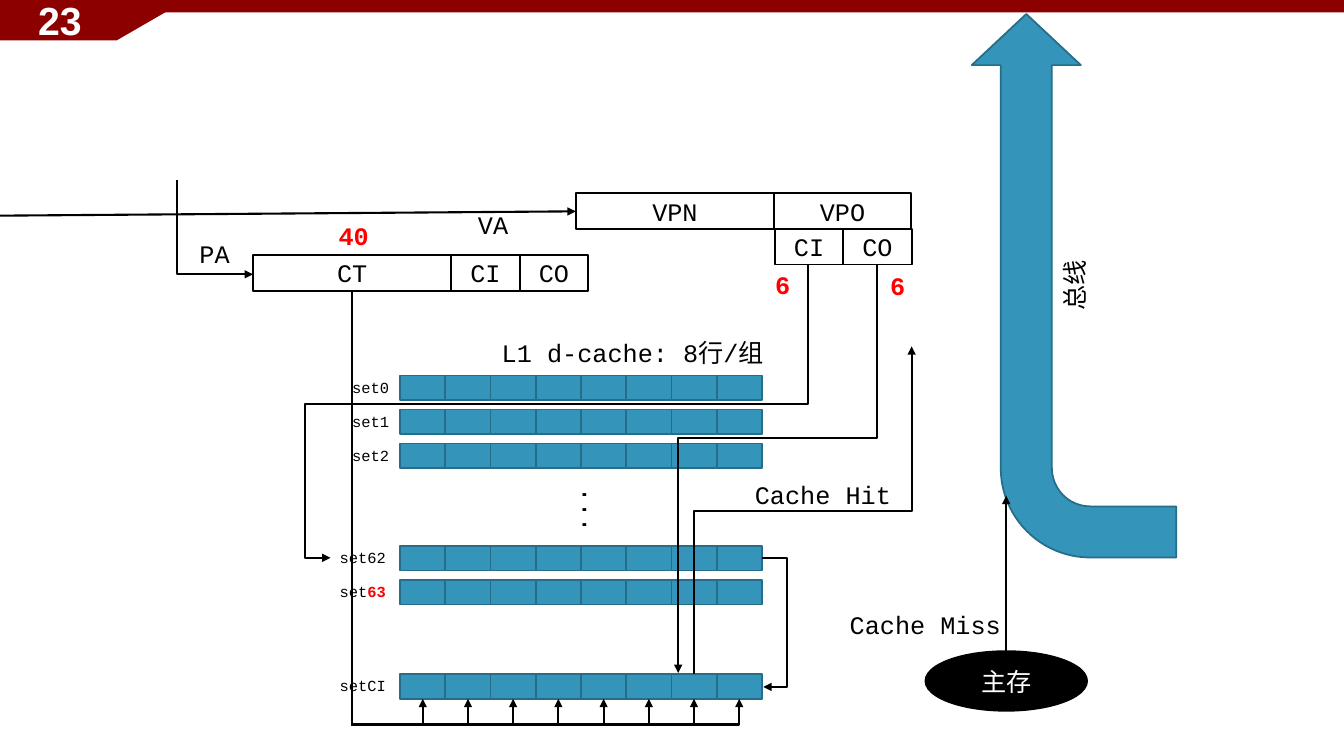
from lxml import etree
from pptx import Presentation
from pptx import util as u
from pptx.dml.color import RGBColor
from pptx.enum import shapes as es, text as et
from pptx.oxml import ns

BLACK, WHITE, RED, MAROON = "000000", "FFFFFF", "FF0000", "8C0000"
BLUE, BLUE_EDGE = "3494BA", "266D8A"
SHAPE = es.MSO_SHAPE
FIELD_H, TAG_W, OFFSET_W = 25.5, 141.6, 48.9
WAYS, WAY_W, SET_H = 8, 32.3, 17.5


def hex_color(value):
    return RGBColor.from_string(value)


def write(frame, runs, align, anchor, size=18, font="Courier New"):
    for name, value in {"word_wrap": False, "vertical_anchor": anchor}.items():
        setattr(frame, name, value)
    paragraph = frame.paragraphs[0]
    paragraph.alignment = align
    for words, color, bold in runs:
        run = paragraph.add_run()
        run.text = words
        for name, value in {"name": font, "size": u.Pt(size), "bold": bold}.items():
            setattr(run.font, name, value)
        run.font.color.rgb = hex_color(color)


def label(slide, box, words, color=BLACK, bold=False, size=18, runs=None,
          align=et.PP_ALIGN.LEFT, anchor=et.MSO_ANCHOR.TOP, font="Courier New"):
    caption = slide.shapes.add_textbox(*map(u.Pt, box))
    write(caption.text_frame, runs or [(words, color, bold)], align, anchor, size, font)
    return caption


def paint(shape, fill, edge=None):
    shape.shadow.inherit = False
    shape.fill.solid()
    shape.fill.fore_color.rgb = hex_color(fill)
    if edge:
        shape.line.color.rgb = hex_color(edge)
        shape.line.width = u.Pt(1.25)
    else:
        shape.line.fill.background()


def block(slide, box, fill, edge=None, words="", color=BLACK, preset=SHAPE.RECTANGLE):
    shape = slide.shapes.add_shape(preset, *map(u.Pt, box))
    paint(shape, fill, edge)
    if words:
        write(shape.text_frame, [(words, color, False)],
              et.PP_ALIGN.CENTER, et.MSO_ANCHOR.MIDDLE)
    return shape


def style_arrow(wire):
    wire.line.color.rgb = hex_color(BLACK)
    wire.line.width = u.Pt(1.5)
    etree.SubElement(wire.line._get_or_add_ln(), ns.qn("a:tailEnd"), type="triangle")
    etree.SubElement(wire._element.spPr, ns.qn("a:effectLst"))


def straight(slide, start, end):
    wire = slide.shapes.add_connector(es.MSO_CONNECTOR.STRAIGHT, *map(u.Pt, start + end))
    style_arrow(wire)


def elbow(slide, *route):
    start, end = route[0], route[-1]
    delta = [end[0] - start[0], end[1] - start[1]]
    main = 1 if start[0] == route[1][0] else 0
    width, height = abs(delta[main]), abs(delta[1 - main])
    left = (start[0] + end[0] - width) / 2
    top = (start[1] + end[1] - height) / 2
    wire = slide.shapes.add_connector(
        es.MSO_CONNECTOR.ELBOW, *map(u.Pt, (left, top, left + width, top + height)))
    if main:
        frame = wire._element.spPr.find(ns.qn("a:xfrm"))
        rightward, upward = delta[0] > 0, delta[1] < 0
        turn = 270 if rightward and not upward else 90
        for name, value in {"rot": turn * 60000, "flipH": int(rightward),
                            "flipV": int(upward)}.items():
            frame.set(name, str(value))
    geometry = wire._element.spPr.find(ns.qn("a:prstGeom"))
    geometry.set("prst", f"bentConnector{len(route) - 1}")
    guides = geometry.find(ns.qn("a:avLst"))
    for index, corner in enumerate(route[1:-2]):
        axis = (main + index) % 2
        share = (corner[axis] - start[axis]) / delta[axis]
        etree.SubElement(guides, ns.qn("a:gd"), name=f"adj{index + 1}",
                         fmla=f"val {round(share * 100000)}")
    style_arrow(wire)


def header(slide, left, top, width):
    tab = slide.shapes.build_freeform(u.Pt(left), u.Pt(top))
    corners = [(0, 28.8), (84.2, 28.8), (134, 0)]
    tab.add_line_segments([(u.Pt(left + x), u.Pt(top + y)) for x, y in corners])
    paint(tab.convert_to_shape(), MAROON)
    block(slide, (left, top, width, 8.9), MAROON)
    label(slide, (left - 1.5, top, 67.7, 28.8), "23", WHITE, True, 28,
          align=et.PP_ALIGN.RIGHT, anchor=et.MSO_ANCHOR.MIDDLE, font="Arial")


def fields(slide, left, top, parts):
    for words, width in parts:
        block(slide, (left, top, width, FIELD_H), WHITE, BLACK, words)
        left += width


def physical_address(slide, left, top):
    fields(slide, left, top, [("CT", TAG_W), ("CI", OFFSET_W), ("CO", OFFSET_W)])
    middle = top + FIELD_H / 2 + 1
    elbow(slide, (left - 54, top - 53.3), (left - 54, middle), (left, middle))
    label(slide, (left - 45.3, top - 15.2, 45.4, 29), "PA")
    label(slide, (left + 54, top - 28.1, 39.6, 29.5), "40", RED, True)


def virtual_address(slide, left, top):
    page = left + TAG_W
    fields(slide, left, top, [("VPN", TAG_W), ("VPO", 2 * OFFSET_W)])
    fields(slide, page + 0.5, top + FIELD_H, [("CI", OFFSET_W), ("CO", OFFSET_W)])
    straight(slide, (-6.5, top + 16.1), (left, top + 13))
    label(slide, (left - 77, top + 8.2, 45.4, 29), "VA")
    label(slide, (page - 6.3, top + 50.8, 39.6, 29.5), "6", RED, True)
    label(slide, (page + 75.8, top + 51.5, 39.6, 29.5), "6", RED, True)


def cache_set(slide, left, top, runs):
    for way in range(WAYS):
        block(slide, (left + way * WAY_W, top, WAY_W, SET_H), BLUE, BLUE_EDGE)
    width = 41 if len("".join(run[0] for run in runs)) == 4 else 50
    label(slide, (left - width - 0.3, top - 2, width, 20.6), "", size=11, runs=runs)


def cache(slide, left, top):
    step = 24.3
    number = [("set", BLACK, False), ("63", RED, True)]
    sets = [("set0", 0), ("set1", step), ("set2", 2 * step),
            ("set62", 121.8), (number, 121.8 + step), ("setCI", 213.5)]
    for name, drop in sets:
        runs = name if name is number else [(name, BLACK, False)]
        cache_set(slide, left, top + drop, runs)
    dots = label(slide, (left + 115.9, top + 73, 36, 49), "...")
    dots.text_frame._txBody.bodyPr.set("vert", "eaVert")
    label(slide, (left + 65.5, top - 30.8, 232.6, 29), "L1 d-cache: 8行/组")


def lookup_arrows(slide, left, top):
    right = left + WAYS * WAY_W
    chosen = top + 213.5
    elbow(slide, (577.4, 188.9), (577.4, 288.5), (217.7, 288.5), (217.7, 398.5),
          (left - 49.7, 398.5))
    elbow(slide, (right, 398.8), (right + 18, 398.8), (right + 18, 490.7),
          (right + 1, 490.7))
    for way in range(WAYS):
        centre = left + (way + 0.5) * WAY_W
        elbow(slide, (251.4, 207.7), (251.4, 517.6), (centre, 517.6),
              (centre, chosen + SET_H))
    elbow(slide, (626.4, 188.9), (626.4, 312.6), (484.4, 312.6), (484.4, chosen - 1))
    hit = left + 6.5 * WAY_W
    elbow(slide, (hit, chosen), (hit, 365), (651.2, 365), (651.2, 247.5))
    label(slide, (532.1, 339.1, 115.2, 29), "Cache Hit")


def memory_and_bus(slide, left, top):
    block(slide, (left, top, 115.5, 42.6), BLACK, BLACK, "主存", WHITE, SHAPE.OVAL)
    bus = block(slide, (left - 88, top - 334, 388.2, 146), BLUE, BLUE_EDGE, "总线",
                preset=SHAPE.BENT_ARROW)
    bus.rotation = 270
    for index, share in enumerate((0.25, 0.267, 0.25, 0.438)):
        bus.adjustments[index] = share
    straight(slide, (left + 57.7, top), (left + 57.7, top - 111))
    label(slide, (left - 61.2, top - 33.1, 147.6, 29), "Cache Miss")


def main():
    deck = Presentation()
    deck.slide_width, deck.slide_height = u.Pt(960), u.Pt(540)
    slide = deck.slides.add_slide(deck.slide_layouts[6])
    header(slide, -0.7, 0, 961.2)
    cache(slide, 285.8, 268.2)
    physical_address(slide, 180.7, 182.2)
    virtual_address(slide, 411.3, 138)
    memory_and_bus(slide, 661, 465.1)
    lookup_arrows(slide, 285.8, 268.2)
    deck.save("out.pptx")


if __name__ == "__main__":
    main()
